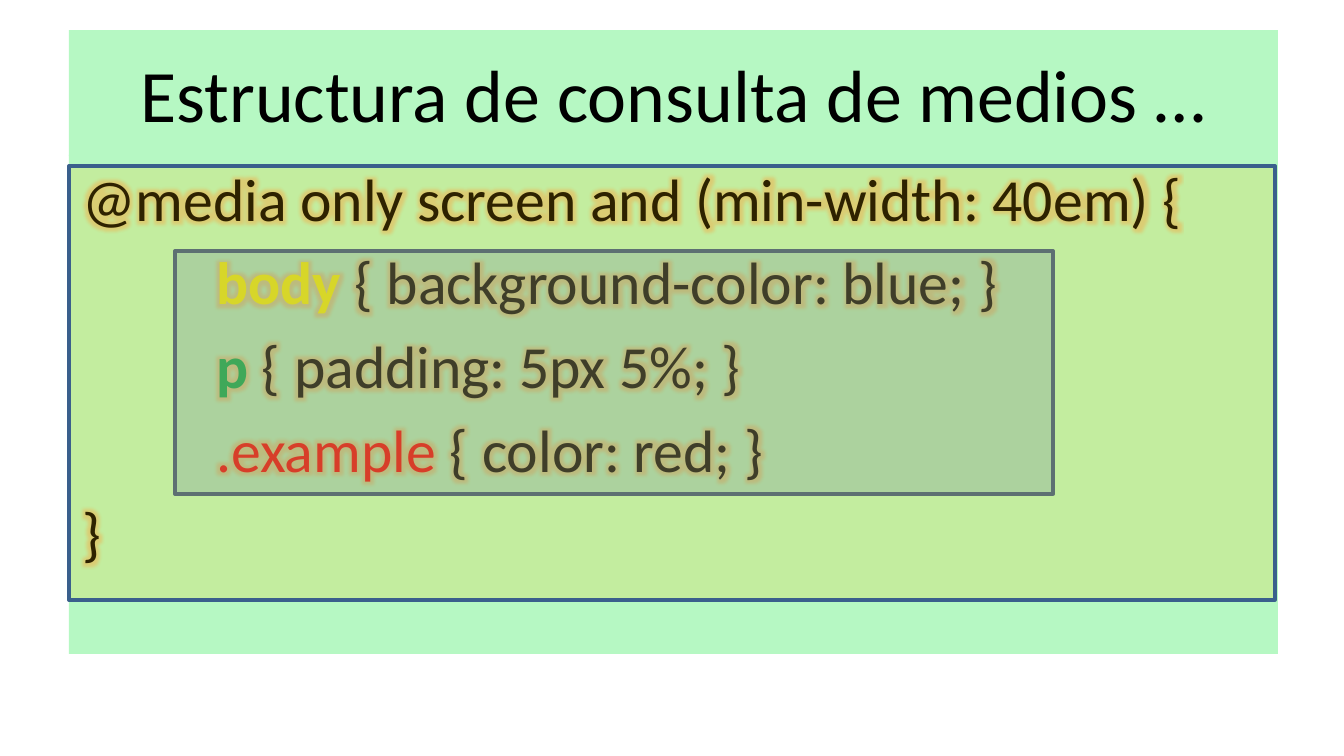
import lxml.etree
import pptx
import pptx.dml.color
import pptx.enum.shapes
import pptx.enum.text
import pptx.oxml.ns
import pptx.util

RGB = pptx.dml.color.RGBColor
BLACK = RGB(0x00, 0x00, 0x00)
YELLOW = RGB(0xFF, 0xFF, 0x00)
GREEN = RGB(0x00, 0xB0, 0x50)
RED = RGB(0xFF, 0x00, 0x00)
MINT = RGB(0xB6, 0xF8, 0xC3)
BLUE = RGB(0x4F, 0x81, 0xBD)
AMBER = RGB(0xFF, 0xC0, 0x00)
NAVY = RGB(0x3A, 0x5F, 0x8C)
ORANGE = RGB(0xF7, 0x96, 0x46)

# Content: each code line is a list of (text, colour, bold)
FONT = "Calibri"
TITLE = [[("Estructura de consulta de medios …", BLACK, False)]]
CODE = [
    [("@media only screen and (min-width: 40em) {", BLACK, False)],
    [("\tbody ", YELLOW, True), ("{ background-color: blue; }", BLACK, False)],
    [("\tp ", GREEN, True), ("{ padding: 5px 5%; }", BLACK, False)],
    [("\t.example ", RED, False), ("{ color: red; }", BLACK, False)],
    [("}", BLACK, False)],
]

# Places in px: left, top, width, height
W, H = 1344, 756
TITLE_BOX = (69, 30, 1209, 126)
CODE_BOX = (69, 155, 1209, 499)
TAB = 134
GLOW = 15
FRAMES = [  # box, fill, opacity in percent
    ((175, 251, 878, 243), BLUE, 27),
    ((69, 166, 1206, 434), AMBER, 18),
]


def px(n):
    return pptx.util.Emu(round(n * 914400 / 134.4))


def add_child(parent, tag, **attrs):
    child = lxml.etree.SubElement(parent, pptx.oxml.ns.qn(tag))
    for name, value in attrs.items():
        child.set(name, str(value))
    return child


def add_box(slide, box, fill):
    sp = slide.shapes.add_shape(
        pptx.enum.shapes.MSO_SHAPE.RECTANGLE, *(px(n) for n in box))
    sp.shadow.inherit = False
    sp.fill.solid()
    sp.fill.fore_color.rgb = fill
    sp.line.fill.background()
    return sp


def add_glow(r):
    effects = lxml.etree.Element(pptx.oxml.ns.qn("a:effectLst"))
    glow = add_child(effects, "a:glow", rad=int(px(GLOW)))
    color = add_child(glow, "a:srgbClr", val=ORANGE)
    add_child(color, "a:satMod", val=175000)
    add_child(color, "a:alpha", val=40000)
    r.font.fill._xPr.find(pptx.oxml.ns.qn("a:solidFill")).addnext(effects)


def write(sp, lines, size, align, anchor, glow=False):
    tf = sp.text_frame
    tf.word_wrap = True
    tf.vertical_anchor = anchor
    for i, line in enumerate(lines):
        p = tf.paragraphs[0] if i == 0 else tf.add_paragraph()
        p.alignment = align
        if i:
            p.space_before = pptx.util.Pt(6.4)
        if line[0][0].startswith("\t"):
            tabs = add_child(p._p.get_or_add_pPr(), "a:tabLst")
            add_child(tabs, "a:tab", pos=int(px(TAB)), algn="l")
        for text, color, bold in line:
            r = p.add_run()
            r.text = text
            r.font.name = FONT
            r.font.size = pptx.util.Pt(size)
            r.font.bold = bold
            r.font.color.rgb = color
            if glow:
                add_glow(r)


prs = pptx.Presentation()
prs.slide_width, prs.slide_height = px(W), px(H)
s = prs.slides.add_slide(prs.slide_layouts[6])
ALIGN = pptx.enum.text.PP_ALIGN
ANCHOR = pptx.enum.text.MSO_ANCHOR

# Title and code panels
write(add_box(s, TITLE_BOX, MINT), TITLE, 39.6, ALIGN.CENTER, ANCHOR.MIDDLE)
write(add_box(s, CODE_BOX, MINT), CODE, 32, ALIGN.LEFT, ANCHOR.TOP, glow=True)

# Translucent frames: the rules, then the whole media query
for box, fill, opacity in FRAMES:
    sp = add_box(s, box, fill)
    sp.line.color.rgb = NAVY
    sp.line.width = pptx.util.Pt(2)
    color = sp.fill._xPr.find(pptx.oxml.ns.qn("a:solidFill"))[0]
    add_child(color, "a:alpha", val=opacity * 1000)

prs.save("out.pptx")
